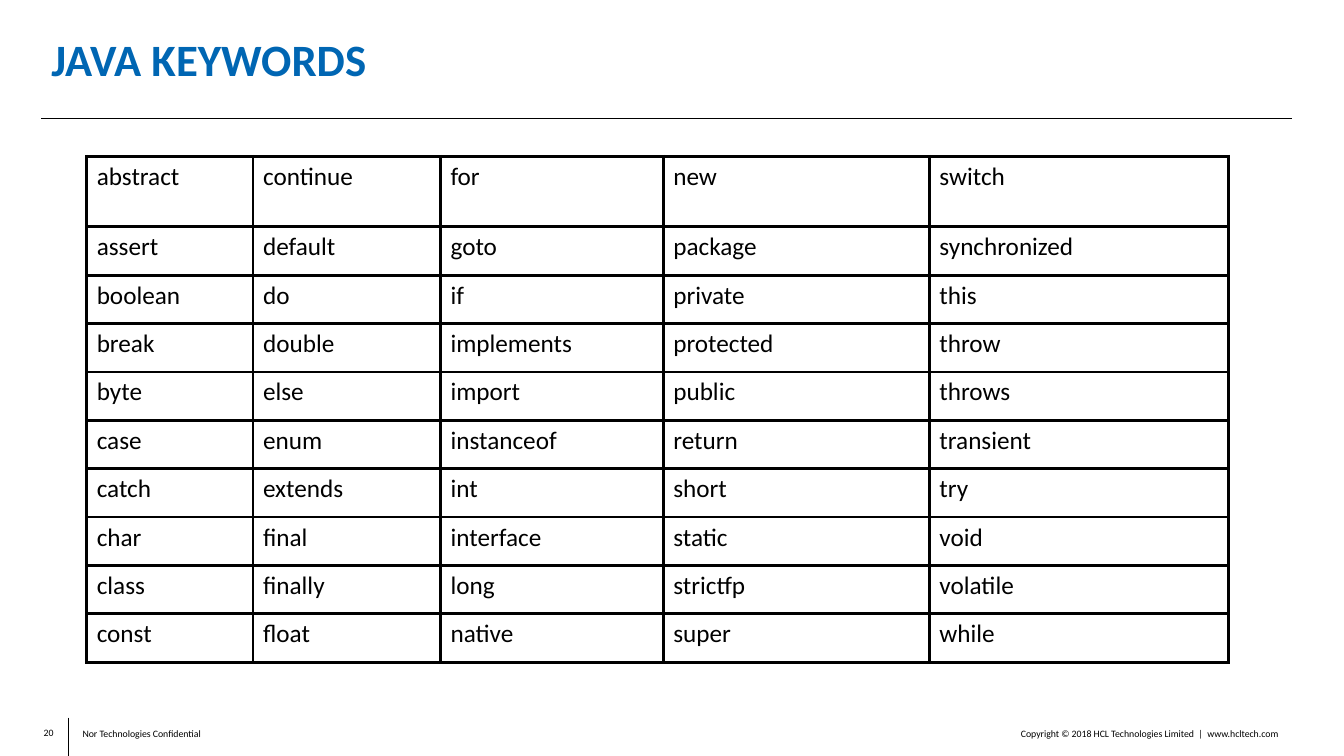
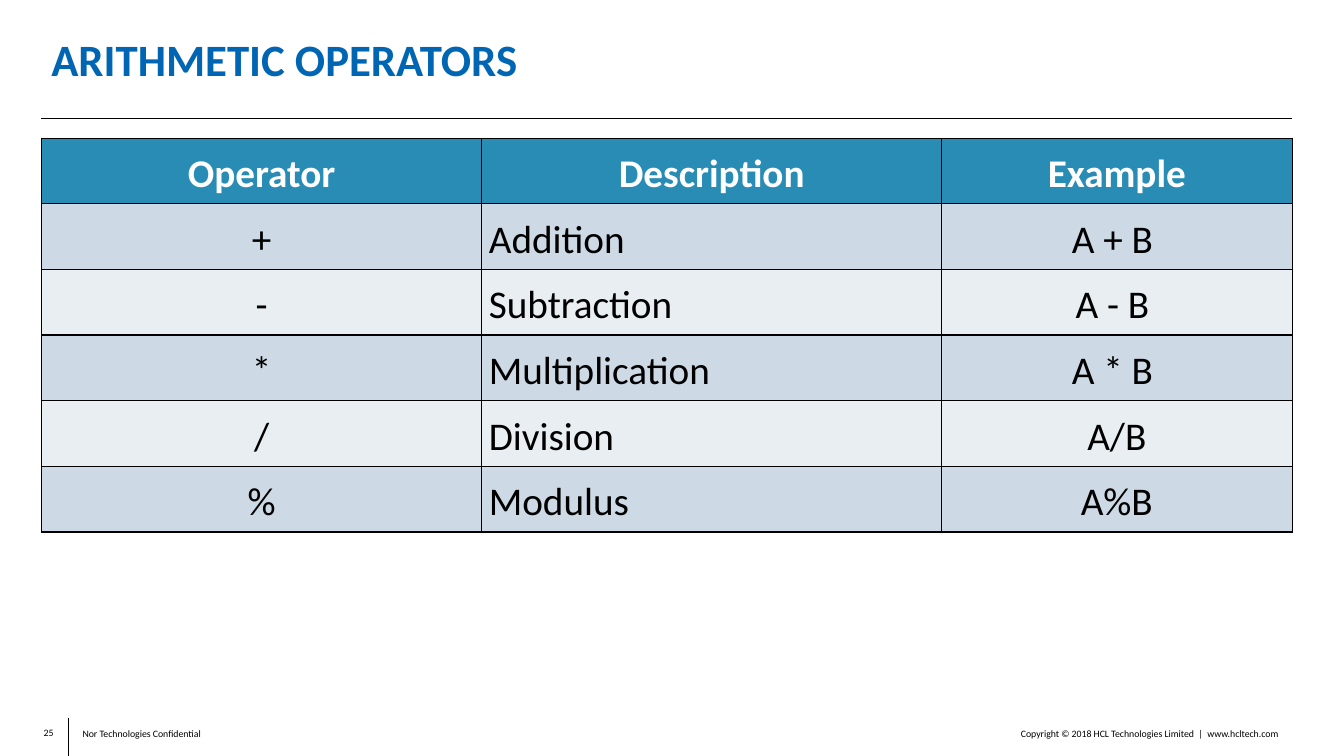
from collections import namedtuple

from lxml import etree
from pptx import Presentation
from pptx.dml.color import RGBColor
from pptx.enum.shapes import MSO_CONNECTOR
from pptx.enum.text import MSO_ANCHOR, PP_ALIGN
from pptx.oxml.ns import qn
from pptx.util import Inches, Pt

LEFT, CENTER, RIGHT = PP_ALIGN.LEFT, PP_ALIGN.CENTER, PP_ALIGN.RIGHT
TOP, MIDDLE = MSO_ANCHOR.TOP, MSO_ANCHOR.MIDDLE
STRAIGHT = MSO_CONNECTOR.STRAIGHT

COLORS = {
    "text": "000000",
    "title": "0066B3",
    "white": "FFFFFF",
    "header": "288CB4",
    "odd_row": "CDDAE5",
    "even_row": "E8EEF2",
}
FONT = "Calibri"
TEXT_INSETS = (0.1, 0.05)

Box = namedtuple("Box", "left top width height")
PAGE = Box(0, 0, Inches(13.33), Inches(7.5))


def part(box, left, top, width, height):
    return Box(
        round(box.left + box.width * left / 100),
        round(box.top + box.height * top / 100),
        round(box.width * width / 100),
        round(box.height * height / 100),
    )


TITLE_BOX = part(PAGE, 3.08, 3.73, 85.95, 8.93)
RULE_BOX = part(PAGE, 3.08, 15.6, 93.07, 0)
FOOTER_BOX = part(PAGE, 3.08, 94.93, 93.07, 5.07)
KEYWORDS_BOX = part(PAGE, 6.45, 20.67, 84.98, 66.93)
OPERATORS_BOX = part(PAGE, 3.08, 18.27, 93.07, 52.1)

KEYWORDS = [
    ("abstract", "continue", "for", "new", "switch"),
    ("assert", "default", "goto", "package", "synchronized"),
    ("boolean", "do", "if", "private", "this"),
    ("break", "double", "implements", "protected", "throw"),
    ("byte", "else", "import", "public", "throws"),
    ("case", "enum", "instanceof", "return", "transient"),
    ("catch", "extends", "int", "short", "try"),
    ("char", "final", "interface", "static", "void"),
    ("class", "finally", "long", "strictfp", "volatile"),
    ("const", "float", "native", "super", "while"),
]
OPERATORS = [
    ("Operator", "Description", "Example"),
    ("+", "Addition", "A + B "),
    ("-", "Subtraction", "A - B "),
    ("*", "Multiplication", "A * B "),
    ("/", "Division", "A/B"),
    ("%", "Modulus", "A%B"),
]


def write_text(frame, text, size=18, color="text", bold=False, align=LEFT, spacing=1.0):
    paragraph = frame.paragraphs[0]
    paragraph.alignment = align
    paragraph.line_spacing = spacing
    run = paragraph.add_run()
    run.text = text
    run.font.name = FONT
    run.font.size = Pt(size)
    run.font.bold = bold
    run.font.color.rgb = RGBColor.from_string(COLORS[color])


def add_text(slide, box, text, anchor=TOP, insets=TEXT_INSETS, wrap=True, **text_format):
    frame = slide.shapes.add_textbox(*box).text_frame
    frame.word_wrap = wrap
    frame.vertical_anchor = anchor
    frame.margin_left = frame.margin_right = Inches(insets[0])
    frame.margin_top = frame.margin_bottom = Inches(insets[1])
    write_text(frame, text, **text_format)


def add_line(slide, box):
    line = slide.shapes.add_connector(
        STRAIGHT, box.left, box.top, box.left + box.width, box.top + box.height
    )
    line.line.color.rgb = RGBColor.from_string(COLORS["text"])
    line.line.width = Pt(0.5)
    etree.SubElement(line._element.spPr, qn("a:effectLst"))


def set_borders(cell, width):
    properties = cell._tc.get_or_add_tcPr()
    for side in ("lnL", "lnR", "lnT", "lnB"):
        border = etree.SubElement(properties, qn(f"a:{side}"), w=str(Pt(width)))
        fill = etree.SubElement(border, qn("a:solidFill"))
        etree.SubElement(fill, qn("a:srgbClr"), val=COLORS["text"])


def add_grid(slide, box, rows, column_weights, row_weights, border, side_inset, cell_format):
    table = slide.shapes.add_table(len(rows), len(column_weights), *box).table
    table.first_row = table.horz_banding = False
    for column, weight in zip(table.columns, column_weights):
        column.width = round(box.width * weight / sum(column_weights))
    for row, weight in zip(table.rows, row_weights):
        row.height = round(box.height * weight / sum(row_weights))
    for row_index, row in enumerate(rows):
        for column_index, text in enumerate(row):
            fill, anchor, text_format = cell_format(row_index, column_index)
            cell = table.cell(row_index, column_index)
            set_borders(cell, border)
            cell.fill.solid()
            cell.fill.fore_color.rgb = RGBColor.from_string(COLORS[fill])
            cell.vertical_anchor = anchor
            cell.margin_left = cell.margin_right = Inches(side_inset)
            write_text(cell.text_frame, text, **text_format)


def add_title(slide, box, text):
    add_text(slide, box, text, anchor=MIDDLE, size=32, color="title", bold=True, spacing=0.9)


def add_footer(slide, box, number):
    add_text(slide, part(box, 0, 23.68, 0.97, 28.95), str(number),
             anchor=MIDDLE, insets=(0, 0), wrap=False, size=7, align=RIGHT)
    add_line(slide, part(box, 2.18, 0, 0, 100))
    add_text(slide, part(box, 59.31, 13.16, 40.37, 55),
             "Copyright © 2018 HCL Technologies Limited  |  www.hcltech.com", size=7, align=RIGHT)
    add_text(slide, part(box, 2.5, 13.16, 25.6, 50), "Nor Technologies Confidential", size=7)


def add_content_slide(presentation, title, number):
    slide = presentation.slides.add_slide(presentation.slide_layouts[6])
    add_footer(slide, FOOTER_BOX, number)
    add_line(slide, RULE_BOX)
    add_title(slide, TITLE_BOX, title)
    return slide


def keyword_format(row, column):
    return "white", TOP, {"size": 18}


def operator_format(row, column):
    text_format = {"size": 28, "spacing": 1.15, "align": CENTER}
    if row == 0:
        return "header", MIDDLE, {**text_format, "color": "white", "bold": True}
    if column == 1:
        text_format["align"] = LEFT
    return ("odd_row" if row % 2 else "even_row"), TOP, text_format


def add_keywords(slide, box):
    add_grid(slide, box, KEYWORDS, (1.65, 1.86, 2.21, 2.64, 2.97),
             [0.7] + [0.48] * (len(KEYWORDS) - 1), 2.25, 0.1, keyword_format)


def add_operators(slide, box):
    add_grid(slide, box, OPERATORS, (4.37, 4.56, 3.48),
             [1] * len(OPERATORS), 1, 0.07, operator_format)


def main():
    presentation = Presentation()
    presentation.slide_width, presentation.slide_height = PAGE.width, PAGE.height
    add_keywords(add_content_slide(presentation, "JAVA KEYWORDS", 20), KEYWORDS_BOX)
    add_operators(add_content_slide(presentation, "ARITHMETIC OPERATORS", 25), OPERATORS_BOX)
    presentation.save("out.pptx")


if __name__ == "__main__":
    main()
